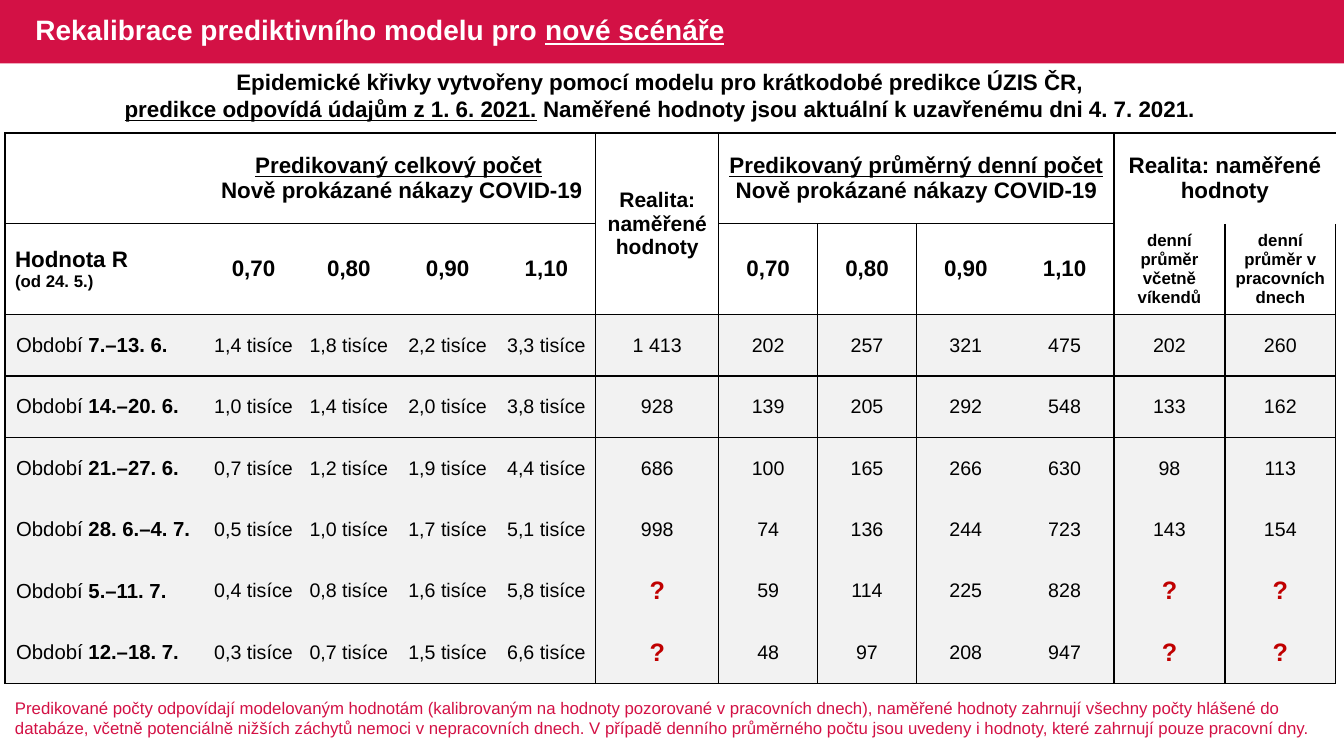
"""Build the slide comparing recalibrated model predictions with measured counts."""
from copy import deepcopy

from lxml import etree
from pptx import Presentation
from pptx.dml.color import RGBColor
from pptx.enum.shapes import MSO_SHAPE
from pptx.enum.text import MSO_ANCHOR, MSO_AUTO_SIZE, PP_ALIGN
from pptx.oxml.ns import qn
from pptx.util import Inches, Pt

LEFT, CENTER = PP_ALIGN.LEFT, PP_ALIGN.CENTER
MIDDLE = MSO_ANCHOR.MIDDLE
RECT = MSO_SHAPE.RECTANGLE
NO_FIT = MSO_AUTO_SIZE.NONE
RED, BLACK, WHITE, GREY, ALERT = "D31145", "000000", "FFFFFF", "F2F2F2", "C00000"
PLAIN_STYLE = "{2D5ABB26-0587-4C30-8999-92F81FD0307C}"

HEAD = {"size": 16, "bold": True}
HEAD_U = {**HEAD, "underline": True}
REALITY = {"size": 15, "bold": True}
SMALL = {"size": 12, "bold": True}
PERIOD = {"size": 14.5, "bold": False}
VALUE = {"size": 14, "bold": False}
UNKNOWN = {"size": 18, "bold": True, "color": ALERT}
TITLE = {"size": 20, "bold": True, "color": WHITE}
NOTE_FORMAT = {"size": 12, "bold": False, "color": RED}

TITLE_TEXT = [[("Rekalibrace prediktivního modelu pro ", TITLE),
               ("nové scénáře", {**TITLE, "underline": True})]]
SUBTITLE = [[
    ("Epidemické křivky vytvořeny pomocí modelu pro krátkodobé predikce ÚZIS ČR,\n", HEAD),
    ("predikce odpovídá údajům z 1. 6. 2021.", HEAD_U),
    (" Naměřené hodnoty jsou aktuální k uzavřenému dni 4. 7. 2021.", HEAD),
]]
NOTE = (
    "Predikované počty odpovídají modelovaným hodnotám (kalibrovaným na hodnoty pozorované "
    "v pracovních dnech), naměřené hodnoty zahrnují všechny počty hlášené do databáze, včetně "
    "potenciálně nižších záchytů nemoci v nepracovních dnech. V případě denního průměrného počtu "
    "jsou uvedeny i hodnoty, které zahrnují pouze pracovní dny."
)
GROUP_HEADS = {
    1: [[("Predikovaný celkový počet", HEAD_U), (" \nNově prokázané nákazy COVID-19", HEAD)]],
    5: [[("Realita: naměřené", REALITY)], [("hodnoty", REALITY)]],
    6: [[("Predikovaný průměrný denní počet", HEAD_U), (" Nově prokázané nákazy COVID-19", HEAD)]],
    10: [[("Realita: naměřené", HEAD)], [("hodnoty", HEAD)]],
}
MERGES = [(0, 1, 0, 4), (0, 5, 1, 5), (0, 6, 0, 9), (0, 10, 0, 11)]
R_VALUES = ["0,70", "0,80", "0,90", "1,10"]
DAILY_HEADS = {10: "denní průměr včetně víkendů", 11: "denní průměr v pracovních dnech"}
PERIODS = [
    ("7.–13. 6.", ["1,4", "1,8", "2,2", "3,3"],
     ["1 413", "202", "257", "321", "475", "202", "260"]),
    ("14.–20. 6.", ["1,0", "1,4", "2,0", "3,8"],
     ["928", "139", "205", "292", "548", "133", "162"]),
    ("21.–27. 6.", ["0,7", "1,2", "1,9", "4,4"],
     ["686", "100", "165", "266", "630", "98", "113"]),
    ("28. 6.–4. 7.", ["0,5", "1,0", "1,7", "5,1"],
     ["998", "74", "136", "244", "723", "143", "154"]),
    ("5.–11. 7.", ["0,4", "0,8", "1,6", "5,8"],
     ["?", "59", "114", "225", "828", "?", "?"]),
    ("12.–18. 7.", ["0,3", "0,7", "1,5", "6,6"],
     ["?", "48", "97", "208", "947", "?", "?"]),
]
COL_WIDTHS = [2.01, 0.91, 0.98, 0.98, 0.98, 1.22, 0.98, 0.98, 0.98, 0.98, 1.1, 1.1]
ROW_HEIGHTS = [0.9, 0.85] + [0.61] * len(PERIODS)
FULL_VERTICALS, LOWER_VERTICALS = {0, 5, 6, 10, 12}, {7, 11}
FULL_HORIZONTALS, OPEN_HEAD_COLS = {0, 2, 3, 8}, {5, 10, 11}


def rgb(value):
    return RGBColor.from_string(value)


def add_text(p, text, fmt):
    for i, line in enumerate(text.split("\n")):
        if i:
            p.add_line_break()
            p._p[-1].append(deepcopy(r.font._rPr))
        r = p.add_run()
        r.text = line
        for name, value in {"name": "Arial", **fmt}.items():
            if name == "color":
                r.font.color.rgb = rgb(value)
            else:
                setattr(r.font, name, Pt(value) if name == "size" else value)
        if "color" not in fmt:
            r.font.color.rgb = rgb(BLACK)


def write(tf, paragraphs, align=CENTER):
    for i, runs in enumerate(paragraphs):
        p = tf.add_paragraph() if i else tf.paragraphs[0]
        p.alignment = align
        for text, fmt in runs:
            if not text.endswith("\n"):
                add_text(p, text, fmt)
            else:
                add_text(p, text[:-1], fmt)
                p.add_line_break()
                p._p[-1].append(deepcopy(p.runs[-1].font._rPr))


def add_box(s, x, y, w, h, paragraphs, align):
    tf = s.shapes.add_textbox(Inches(x), Inches(y), Inches(w), Inches(h)).text_frame
    tf.word_wrap = True
    write(tf, paragraphs, align)


def fill_cell(cell, paragraphs, align=CENTER, margin=None):
    cell.vertical_anchor = MIDDLE
    if margin is not None:
        for side in ("left", "right", "top", "bottom"):
            setattr(cell, f"margin_{side}", Inches(margin))
    write(cell.text_frame, paragraphs, align)


def has_vertical(row, edge):
    return edge in FULL_VERTICALS or (row > 0 and edge in LOWER_VERTICALS)


def has_horizontal(edge, col):
    return edge in FULL_HORIZONTALS or (edge == 1 and col not in OPEN_HEAD_COLS)


def style_cell(cell, row, col):
    sides = {"lnL": has_vertical(row, col), "lnR": has_vertical(row, col + 1),
             "lnT": has_horizontal(row, col), "lnB": has_horizontal(row + 1, col)}
    tcPr = cell._tc.get_or_add_tcPr()
    for tag, shown in sides.items():
        if shown:
            ln = etree.SubElement(tcPr, qn(f"a:{tag}"), w=str(Pt(1)))
            solid = etree.SubElement(ln, qn("a:solidFill"))
            etree.SubElement(solid, qn("a:srgbClr"), val=BLACK)
    if row > 1:
        cell.fill.solid()
        cell.fill.fore_color.rgb = rgb(GREY)
    else:
        cell.fill.background()


def add_counts_table(s):
    frame = s.shapes.add_table(len(ROW_HEIGHTS), len(COL_WIDTHS), Inches(0.05), Inches(1.32),
                               Inches(sum(COL_WIDTHS)), Inches(sum(ROW_HEIGHTS)))
    table = frame.table
    table._tbl.tblPr.find(qn("a:tableStyleId")).text = PLAIN_STYLE
    table.first_row = table.horz_banding = False
    for column, width in zip(table.columns, COL_WIDTHS):
        column.width = Inches(width)
    for row, height in zip(table.rows, ROW_HEIGHTS):
        row.height = Inches(height)
    for top, left, bottom, right in MERGES:
        table.cell(top, left).merge(table.cell(bottom, right))

    for col, paragraphs in GROUP_HEADS.items():
        fill_cell(table.cell(0, col), paragraphs)
    fill_cell(table.cell(1, 0), [[("Hodnota R\n", HEAD), ("(od 24. 5.)", SMALL)]], LEFT)
    for start in (1, 6):
        for i, value in enumerate(R_VALUES):
            fill_cell(table.cell(1, start + i), [[(value, HEAD)]], margin=0.01)
    for col, text in DAILY_HEADS.items():
        fill_cell(table.cell(1, col), [[(text, SMALL)]])
    for row, (period, totals, counts) in enumerate(PERIODS, 2):
        label = table.cell(row, 0)
        fill_cell(label, [[("Období ", PERIOD), (period, {**PERIOD, "bold": True})]], LEFT, 0.01)
        label.margin_left = Inches(0.11)
        for col, value in enumerate([f"{t} tisíce" for t in totals] + counts, 1):
            fmt = UNKNOWN if value == "?" else VALUE
            fill_cell(table.cell(row, col), [[(value, fmt)]], margin=0)
    for row in range(len(ROW_HEIGHTS)):
        for col in range(len(COL_WIDTHS)):
            style_cell(table.cell(row, col), row, col)


def main():
    prs = Presentation()
    prs.slide_width, prs.slide_height = Inches(13.33), Inches(7.5)
    s = prs.slides.add_slide(prs.slide_layouts[5])

    band = s.shapes.add_shape(RECT, 0, 0, prs.slide_width, Inches(0.63))
    band.shadow.inherit = False
    band.fill.solid()
    band.fill.fore_color.rgb = rgb(RED)
    band.line.fill.background()
    s.shapes._spTree.insert(2, band._element)

    add_box(s, -0.19, 0.63, 13.47, 0.64, SUBTITLE, CENTER)
    title = s.shapes.title
    title.left, title.top, title.width, title.height = map(Inches, (0.25, 0, 7.41, 0.63))
    tf = title.text_frame
    tf.auto_size, tf.vertical_anchor, tf.word_wrap = NO_FIT, MIDDLE, True
    write(tf, TITLE_TEXT, LEFT)
    tf.paragraphs[0].line_spacing = 0.9

    add_counts_table(s)
    add_box(s, 0.05, 6.87, 13.22, 0.5, [[(NOTE, NOTE_FORMAT)]], LEFT)
    prs.save("out.pptx")


if __name__ == "__main__":
    main()
